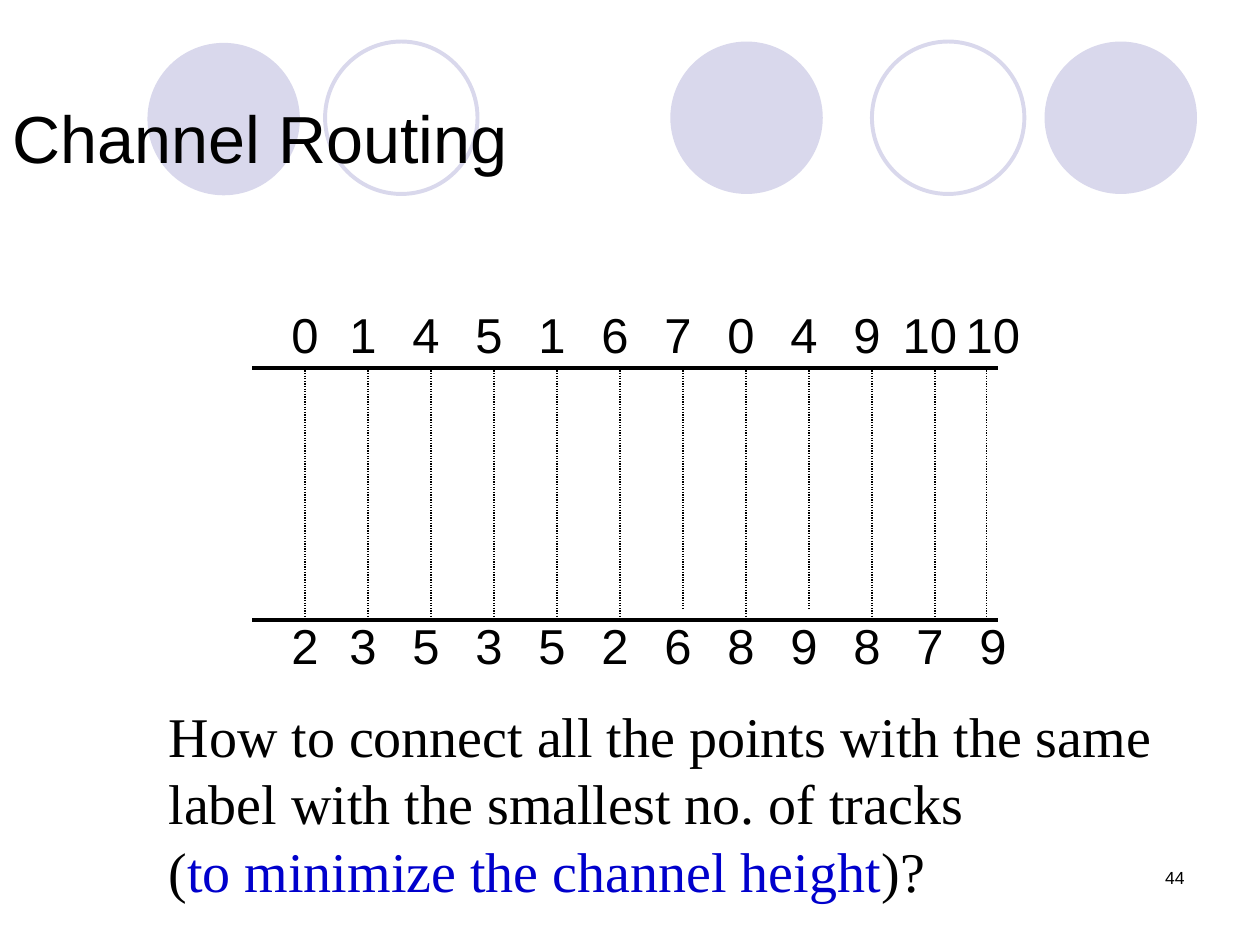
from dataclasses import dataclass

from lxml import etree
from pptx import Presentation
from pptx.dml.color import RGBColor
from pptx.enum.dml import MSO_LINE
from pptx.enum.shapes import MSO_CONNECTOR, MSO_SHAPE
from pptx.enum.text import MSO_ANCHOR, PP_ALIGN
from pptx.oxml.ns import qn
from pptx.util import Inches, Pt

DOTTED = MSO_LINE.ROUND_DOT
STRAIGHT = MSO_CONNECTOR.STRAIGHT
OVAL = MSO_SHAPE.OVAL
TOP, MIDDLE = MSO_ANCHOR.TOP, MSO_ANCHOR.MIDDLE
LEFT, CENTER, RIGHT = PP_ALIGN.LEFT, PP_ALIGN.CENTER, PP_ALIGN.RIGHT


@dataclass(frozen=True)
class Theme:
    ink: RGBColor = RGBColor(0x00, 0x00, 0x00)
    accent: RGBColor = RGBColor(0x00, 0x00, 0xCC)
    circle: RGBColor = RGBColor(0xD9, 0xD8, 0xEC)
    sans: str = "Arial"
    serif: str = "Times New Roman"
    title_size: int = 38
    pin_size: int = 28
    question_size: int = 32
    number_size: int = 10


THEME = Theme()

CIRCLE_SIZE = 1.21
FILLED_CIRCLES = ((5.32, 0.33), (8.29, 0.33), (1.17, 0.34))
OUTLINED_CIRCLES = ((6.92, 0.33), (2.58, 0.33))

CHANNEL_LEFT, CHANNEL_RIGHT = 2, 7.92
CHANNEL_TOP, CHANNEL_BOTTOM = 2.92, 4.92
COLUMN_PITCH = 0.5
COLUMNS = [2.42 + COLUMN_PITCH * i for i in range(11)] + [7.83]
SHORT_COLUMNS = (6, 8)
SHORT_BOTTOM = 4.83
LABEL_CENTERS = [2.42] + [2.88 + COLUMN_PITCH * i for i in range(11)]
LABEL_HEIGHT = 0.52
TOP_PINS = (0, 1, 4, 5, 1, 6, 7, 0, 4, 9, 10, 10)
BOTTOM_PINS = (2, 3, 5, 3, 5, 2, 6, 8, 9, 8, 7, 9)

QUESTION = (
    (("How to connect all the points with the same", THEME.ink),),
    (("label with the smallest no. of tracks", THEME.ink),),
    (("(", THEME.ink), ("to minimize the channel height", THEME.accent), (")?", THEME.ink)),
)


def add_circle(slide, left, top, filled):
    circle = slide.shapes.add_shape(
        OVAL, Inches(left), Inches(top), Inches(CIRCLE_SIZE), Inches(CIRCLE_SIZE))
    circle.shadow.inherit = False
    if filled:
        circle.fill.solid()
        circle.fill.fore_color.rgb = THEME.circle
        circle.line.fill.background()
    else:
        circle.fill.background()
        circle.line.color.rgb = THEME.circle
        circle.line.width = Pt(2.25)


def add_line(slide, start, end, width, dash=None):
    line = slide.shapes.add_connector(STRAIGHT, *(Inches(value) for value in (*start, *end)))
    line.line.color.rgb = THEME.ink
    line.line.width = Pt(width)
    if dash is not None:
        line.line.dash_style = dash
    etree.SubElement(line._element.spPr, qn("a:effectLst"))


def add_text(slide, box, lines, font, size, align=LEFT, anchor=TOP, wrap=True):
    """Add a text box; each line is a sequence of (text, colour) runs."""
    text_box = slide.shapes.add_textbox(*(Inches(value) for value in box))
    text_frame = text_box.text_frame
    text_frame.word_wrap = wrap
    text_frame.vertical_anchor = anchor
    for index, line in enumerate(lines):
        paragraph = text_frame.add_paragraph() if index else text_frame.paragraphs[0]
        paragraph.alignment = align
        for text, color in line:
            run = paragraph.add_run()
            run.text = text
            run.font.name = font
            run.font.size = Pt(size)
            run.font.color.rgb = color
    return text_box


def add_pin_labels(slide, pins, top):
    for center, pin in zip(LABEL_CENTERS, pins):
        width = 0.63 if pin >= 10 else 0.41
        label = add_text(
            slide, (center - width / 2, top, width, LABEL_HEIGHT), [[(str(pin), THEME.ink)]],
            THEME.sans, THEME.pin_size, CENTER, MIDDLE, wrap=False)
        label.text_frame.paragraphs[0].line_spacing = 0.9


def add_channel(slide):
    for y in (CHANNEL_TOP, CHANNEL_BOTTOM):
        add_line(slide, (CHANNEL_LEFT, y), (CHANNEL_RIGHT, y), 2)
    for index, x in enumerate(COLUMNS):
        bottom = SHORT_BOTTOM if index in SHORT_COLUMNS else CHANNEL_BOTTOM
        add_line(slide, (x, CHANNEL_TOP), (x, bottom), 0.75, DOTTED)
    add_pin_labels(slide, TOP_PINS, 2.42)
    add_pin_labels(slide, BOTTOM_PINS, 4.89)


def main():
    presentation = Presentation()
    presentation.slide_width = Inches(10)
    presentation.slide_height = Inches(7.5)
    slide = presentation.slides.add_slide(presentation.slide_layouts[6])

    for left, top in FILLED_CIRCLES:
        add_circle(slide, left, top, filled=True)
    for left, top in OUTLINED_CIRCLES:
        add_circle(slide, left, top, filled=False)
    add_text(slide, (0, 0.25, 9.67, 1.67), [[("Channel Routing", THEME.ink)]],
             THEME.sans, THEME.title_size, anchor=MIDDLE)
    add_channel(slide)
    add_text(slide, (1.24, 5.52, 8.01, 1.7), QUESTION,
             THEME.serif, THEME.question_size, wrap=False)
    add_text(slide, (7.17, 6.83, 2.33, 0.5), [[("44", THEME.ink)]],
             THEME.sans, THEME.number_size, RIGHT)

    presentation.save("out.pptx")


if __name__ == "__main__":
    main()
